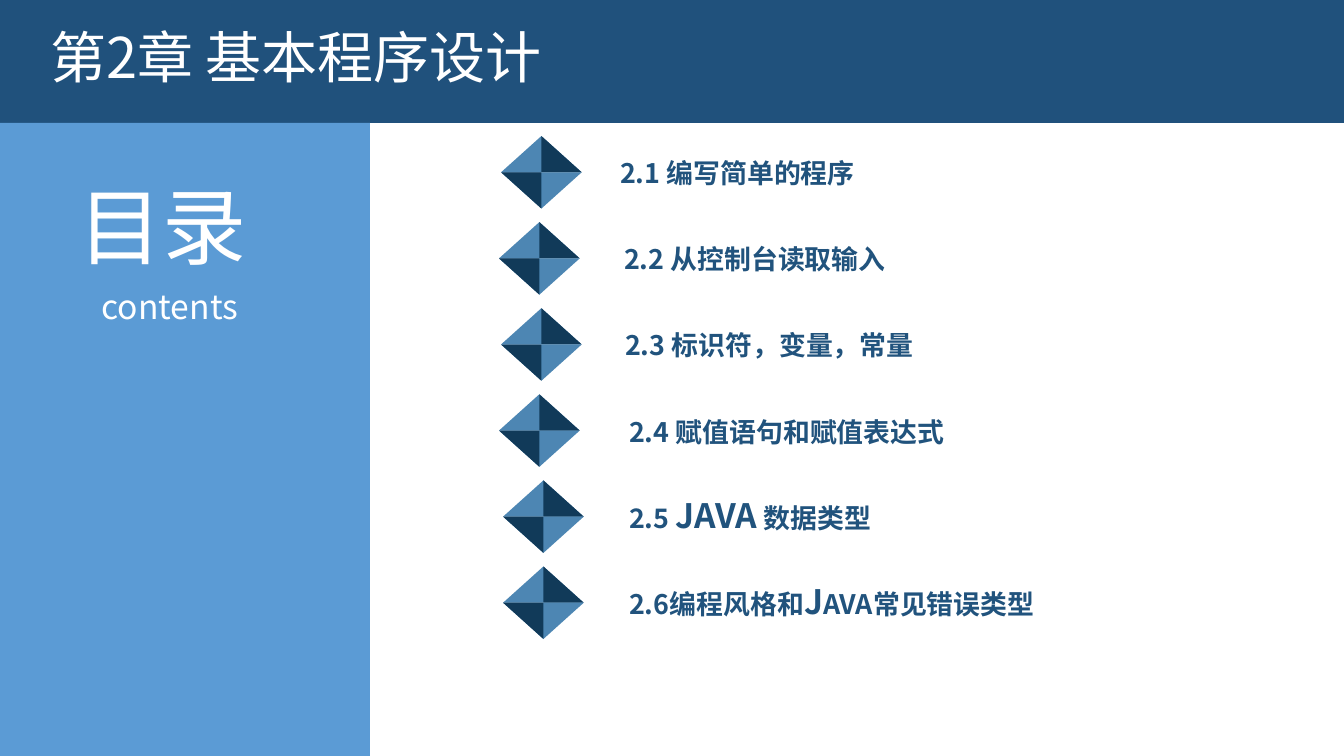
from pptx import Presentation
from pptx.dml.color import RGBColor
from pptx.enum.shapes import MSO_SHAPE
from pptx.enum.text import MSO_AUTO_SIZE, PP_ALIGN
from pptx.oxml.ns import qn
from pptx.util import Inches, Pt
from lxml import etree

RECTANGLE = MSO_SHAPE.RECTANGLE
TRIANGLE = MSO_SHAPE.ISOSCELES_TRIANGLE
GROW = MSO_AUTO_SIZE.SHAPE_TO_FIT_TEXT
LEFT, JUSTIFY = PP_ALIGN.LEFT, PP_ALIGN.JUSTIFY

FONT = "Noto Sans CJK SC"
WHITE = RGBColor(0xFF, 0xFF, 0xFF)
HEADER_BLUE = RGBColor(0x20, 0x51, 0x7C)
SIDEBAR_BLUE = RGBColor(0x5B, 0x9B, 0xD5)
FACET_LIGHT = RGBColor(0x4D, 0x86, 0xB3)
FACET_DARK = RGBColor(0x11, 0x3A, 0x59)
ITEM_BLUE = RGBColor(0x21, 0x53, 0x7D)

# Half width and half height of a diamond, and the row grid
HALF_W, HALF_H = 0.4, 0.36
FIRST_TOP, LAST_TOP = 1.35, 5.62
TEXT_DROP = 0.1

# Text, diamond left, text left, text width, wrap
SECTIONS = [
    ("2.1 编写简单的程序", 4.97, 6.07, 3.13, False),
    ("2.2 从控制台读取输入", 4.95, 6.11, 3.46, False),
    ("2.3 标识符，变量，常量", 4.97, 6.12, 3.8, False),
    ("2.4 赋值语句和赋值表达式", 4.95, 6.16, 4.13, False),
    ("2.5 JAVA 数据类型", 4.99, 6.16, 4.74, True),
    ("2.6编程风格和Java常见错误类型", 4.99, 6.16, 5.09, False),
]


def paint(sp, color):
    """Give a shape a flat fill without line or shadow."""
    sp.shadow.inherit = False
    sp.fill.solid()
    sp.fill.fore_color.rgb = color
    sp.line.fill.background()


def add_block(shapes, kind, left, top, width, height, color, flip=None):
    """Add a flat preset shape, optionally mirrored."""
    sp = shapes.add_shape(kind, Inches(left), Inches(top), Inches(width), Inches(height))
    paint(sp, color)
    if flip:
        sp._element.spPr.find(qn("a:xfrm")).set(flip, "1")


def add_facet(shapes, points):
    """Add a dark facet through the given points."""
    corners = [(Inches(x), Inches(y)) for x, y in points]
    builder = shapes.build_freeform(*corners[0], scale=1.0)
    builder.add_line_segments(corners[1:], close=True)
    paint(builder.convert_to_shape(), FACET_DARK)


def add_diamond(s, left, top):
    """Add a grouped diamond of two light triangles and two dark facets."""
    shapes = s.shapes.add_group_shape().shapes
    mid_x, mid_y = left + HALF_W, top + HALF_H
    add_block(shapes, TRIANGLE, left, top, 2 * HALF_W, HALF_H, FACET_LIGHT, "flipH")
    add_facet(shapes, [(mid_x, top), (mid_x, mid_y), (mid_x + HALF_W, mid_y)])
    add_block(shapes, TRIANGLE, left, mid_y, 2 * HALF_W, HALF_H, FACET_LIGHT, "flipV")
    add_facet(shapes, [(mid_x, mid_y + HALF_H), (mid_x, mid_y), (left, mid_y)])


def add_text(s, text, left, top, width, height, size=24, color=WHITE, bold=False,
             small_caps=False, align=LEFT, wrap=True, inset=(0.1, 0.05)):
    """Add a one-line text box that grows with its text."""
    sp = s.shapes.add_textbox(Inches(left), Inches(top), Inches(width), Inches(height))
    tf = sp.text_frame
    tf.word_wrap = wrap
    tf.auto_size = GROW
    tf.margin_left = tf.margin_right = Inches(inset[0])
    tf.margin_top = tf.margin_bottom = Inches(inset[1])
    p = tf.paragraphs[0]
    p.alignment = align
    r = p.add_run()
    r.text = text
    r.font.size = Pt(size)
    r.font.name = FONT
    r.font.bold = bold
    r.font.color.rgb = color
    rpr = r._r.get_or_add_rPr()
    east_asian = etree.Element(qn("a:ea"), typeface=FONT)
    rpr.find(qn("a:latin")).addnext(east_asian)
    if small_caps:
        rpr.set("cap", "small")


def main():
    """Build the contents slide and save it."""
    prs = Presentation()
    prs.slide_width, prs.slide_height = Inches(13.33), Inches(7.5)
    s = prs.slides.add_slide(prs.slide_layouts[6])

    add_block(s.shapes, RECTANGLE, -0.01, -0.01, 13.36, 1.23, HEADER_BLUE)
    add_block(s.shapes, RECTANGLE, 0, 1.22, 3.67, 6.28, SIDEBAR_BLUE)
    add_text(s, "目录", 0.68, 1.68, 2.19, 1.11, size=60, align=JUSTIFY)
    add_text(s, "contents", 0.91, 2.79, 1.74, 0.51, align=JUSTIFY)
    add_text(s, "第2章 基本程序设计", 0.4, 0.17, 8.06, 0.77, size=40)

    pitch = (LAST_TOP - FIRST_TOP) / (len(SECTIONS) - 1)
    for i, (text, diamond_left, text_left, width, wrap) in enumerate(SECTIONS):
        top = FIRST_TOP + i * pitch
        add_diamond(s, diamond_left, top)
        add_text(s, text, text_left, top + TEXT_DROP, width, 0.48, color=ITEM_BLUE,
                 bold=True, small_caps=True, wrap=wrap, inset=(0.08, 0.04))

    prs.save("out.pptx")


main()
